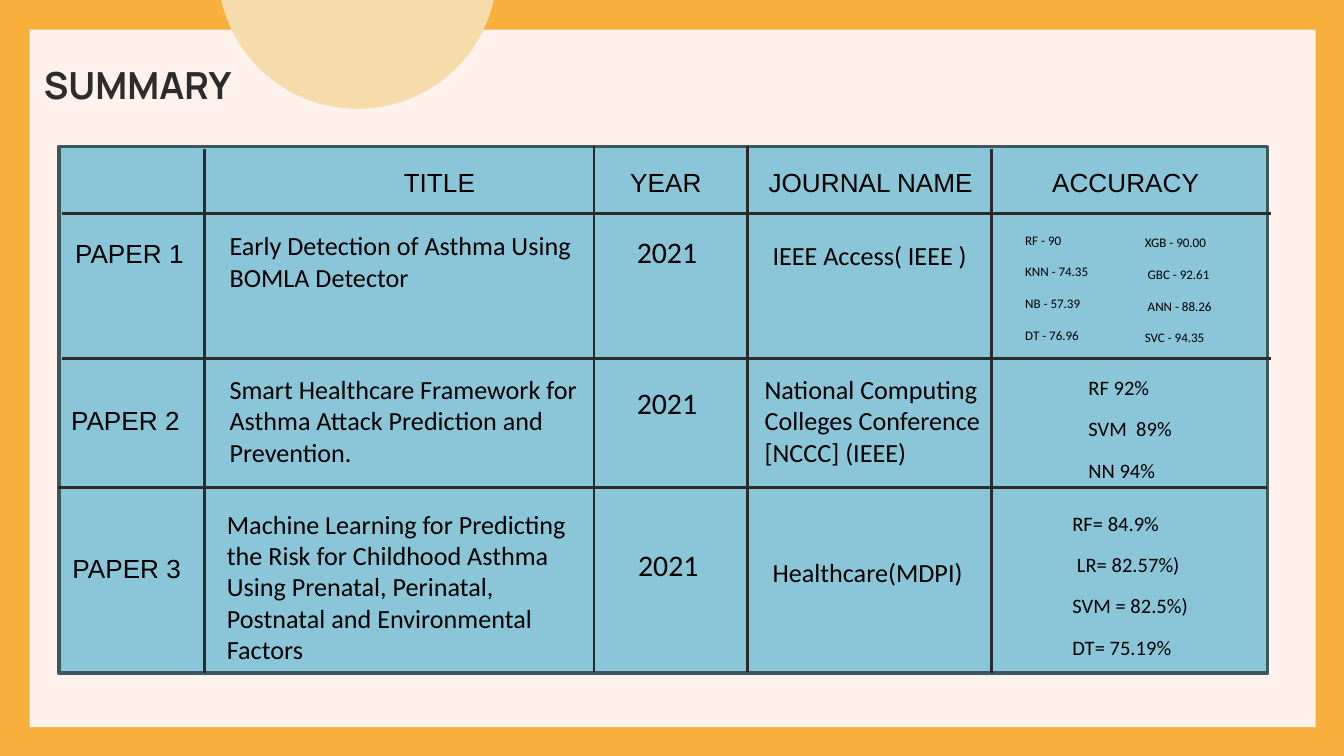
from typing import NamedTuple

from lxml import etree
from pptx import Presentation
from pptx.dml.color import RGBColor
from pptx.enum.shapes import MSO_CONNECTOR, MSO_SHAPE
from pptx.enum.text import MSO_ANCHOR, MSO_AUTO_SIZE, PP_ALIGN
from pptx.oxml.ns import qn
from pptx.util import Emu, Pt

PX = 9144  # 100 px to the inch
SLIDE_WIDTH = 1000
TITLE_ONLY = 5
RECTANGLE, OVAL = MSO_SHAPE.RECTANGLE, MSO_SHAPE.OVAL
STRAIGHT = MSO_CONNECTOR.STRAIGHT
LEFT, CENTER, JUSTIFY = PP_ALIGN.LEFT, PP_ALIGN.CENTER, PP_ALIGN.JUSTIFY
MIDDLE = MSO_ANCHOR.MIDDLE
FIT_SHAPE, NO_FIT = MSO_AUTO_SIZE.SHAPE_TO_FIT_TEXT, MSO_AUTO_SIZE.NONE

ORANGE, CREAM, SAND = "F7B03C", "FFF2ED", "F5DCAA"
GRID_FILL, GRID_BORDER, RULE = "8BC6D8", "3D575F", "2B2B2B"
INK, BLACK = "2C2C2C", "000000"


class Box(NamedTuple):
    left: int
    top: int
    width: int
    height: int


class Rule(NamedTuple):
    x1: int
    y1: int
    x2: int
    y2: int


class Entry(NamedTuple):
    box: Box
    text: str
    font: str = "Calibri"
    size: int = 14
    align: PP_ALIGN = LEFT


class Scores(NamedTuple):
    box: Box
    lines: tuple[str, ...]
    size: int = 11
    align: PP_ALIGN = JUSTIFY


COLUMN_RULES = [
    Rule(152, 111, 152, 501), Rule(442, 109, 442, 500),
    Rule(556, 109, 556, 500), Rule(738, 111, 738, 501),
]
ROW_RULES = [
    Rule(46, 159, 946, 159), Rule(46, 267, 946, 267), Rule(43, 363, 943, 363),
]

HEADINGS = [
    Entry(Box(176, 119, 302, 34), "TITLE", "Arial", align=CENTER),
    Entry(Box(459, 119, 85, 34), "YEAR", "Arial"),
    Entry(Box(562, 119, 175, 34), "JOURNAL NAME", "Arial"),
    Entry(Box(773, 119, 131, 34), "ACCURACY", "Arial"),
]
PAPERS = [
    Entry(Box(46, 172, 115, 34), "PAPER 1", "Arial"),
    Entry(Box(161, 166, 317, 57), "Early Detection of Asthma Using BOMLA Detector"),
    Entry(Box(464, 169, 100, 37), "2021", size=16),
    Entry(Box(565, 173, 167, 57), "IEEE Access( IEEE )"),
    Entry(Box(43, 296, 115, 34), "PAPER 2", "Arial"),
    Entry(Box(161, 273, 303, 104),
          "Smart Healthcare Framework for Asthma Attack Prediction and Prevention."),
    Entry(Box(464, 281, 94, 61), "2021", size=16),
    Entry(Box(559, 273, 182, 104),
          "National Computing Colleges Conference [NCCC] (IEEE)"),
    Entry(Box(44, 406, 106, 34), "PAPER 3", "Arial"),
    Entry(Box(159, 373, 277, 175),
          "Machine Learning for Predicting the Risk for Childhood Asthma Using "
          "Prenatal, Perinatal, Postnatal and Environmental Factors"),
    Entry(Box(465, 402, 94, 61), "2021", size=16),
    Entry(Box(565, 409, 217, 81), "Healthcare(MDPI)"),
]
ACCURACIES = [
    Scores(Box(753, 167, 107, 129),
           ("RF - 90", "KNN - 74.35", "NB - 57.39", "DT - 76.96"), 7),
    Scores(Box(842, 169, 107, 129),
           ("XGB - 90.00", " GBC - 92.61", " ANN - 88.26", "SVC - 94.35"), 7),
    Scores(Box(800, 273, 123, 127), ("RF 92%", "SVM  89%", "NN 94%")),
    Scores(Box(788, 374, 141, 186),
           ("RF= 84.9%", " LR= 82.57%)", "SVM = 82.5%)", "DT= 75.19%"), align=LEFT),
]


def px(value: int) -> Emu:
    return Emu(value * PX)


def rgb(value: str) -> RGBColor:
    return RGBColor.from_string(value)


def add_block(slide, kind: MSO_SHAPE, box: Box, fill: str, border: str | None = None):
    block = slide.shapes.add_shape(kind, *map(px, box))
    block.shadow.inherit = False
    block.fill.solid()
    block.fill.fore_color.rgb = rgb(fill)
    if border:
        block.line.color.rgb = rgb(border)
        block.line.width = Pt(2)
    else:
        block.line.fill.background()
    return block


def add_rule(slide, rule: Rule) -> None:
    connector = slide.shapes.add_connector(STRAIGHT, *map(px, rule))
    connector.line.color.rgb = rgb(RULE)
    connector.line.width = Pt(1.5)
    etree.SubElement(connector._element.spPr, qn("a:effectLst"))


def add_frame(slide, box: Box):
    """Add a wrapping text box that grows with its text; return its text frame."""
    frame = slide.shapes.add_textbox(*map(px, box)).text_frame
    frame.word_wrap = True
    frame.auto_size = FIT_SHAPE
    return frame


def format_paragraph(paragraph, font: str, size: int, color: str, align: PP_ALIGN) -> None:
    paragraph.alignment = align
    for run in paragraph.runs:
        run.font.name = font
        run.font.size = Pt(size)
        run.font.color.rgb = rgb(color)


def add_entry(slide, entry: Entry) -> None:
    frame = add_frame(slide, entry.box)
    frame.text = entry.text
    format_paragraph(frame.paragraphs[0], entry.font, entry.size, BLACK, entry.align)


def add_scores(slide, scores: Scores) -> None:
    frame = add_frame(slide, scores.box)
    frame.text = "\n".join(scores.lines)
    for paragraph in frame.paragraphs:
        format_paragraph(paragraph, "Calibri", scores.size, BLACK, scores.align)
        paragraph.line_spacing = 1.07
        paragraph.space_after = Pt(8)


def set_title(slide, box: Box, text: str) -> None:
    title = slide.shapes.title
    title.left, title.top, title.width, title.height = map(px, box)
    frame = title.text_frame
    frame.text = text
    frame.word_wrap = True
    frame.auto_size = NO_FIT
    frame.vertical_anchor = MIDDLE
    frame.margin_left = frame.margin_right = frame.margin_top = frame.margin_bottom = 0
    heading = frame.paragraphs[0]
    format_paragraph(heading, "Manrope", 20, INK, CENTER)
    heading.line_spacing = 0.9
    heading.runs[0].font.bold = True


def main() -> None:
    deck = Presentation()
    deck.slide_width = px(SLIDE_WIDTH)
    deck.slide_height = Emu(deck.slide_width * 9 // 16)
    slide = deck.slides.add_slide(deck.slide_layouts[TITLE_ONLY])
    slide.background.fill.solid()
    slide.background.fill.fore_color.rgb = rgb(ORANGE)

    panel = add_block(slide, RECTANGLE, Box(22, 22, 957, 519), CREAM)
    slide.shapes.title._element.addprevious(panel._element)
    set_title(slide, Box(-54, 49, 313, 32), "SUMMARY")
    add_block(slide, OVAL, Box(162, -127, 208, 208), SAND)

    add_block(slide, RECTANGLE, Box(44, 109, 899, 392), GRID_FILL, GRID_BORDER)
    for rule in COLUMN_RULES + ROW_RULES:
        add_rule(slide, rule)
    for entry in HEADINGS + PAPERS:
        add_entry(slide, entry)
    for scores in ACCURACIES:
        add_scores(slide, scores)
    deck.save("out.pptx")


if __name__ == "__main__":
    main()
